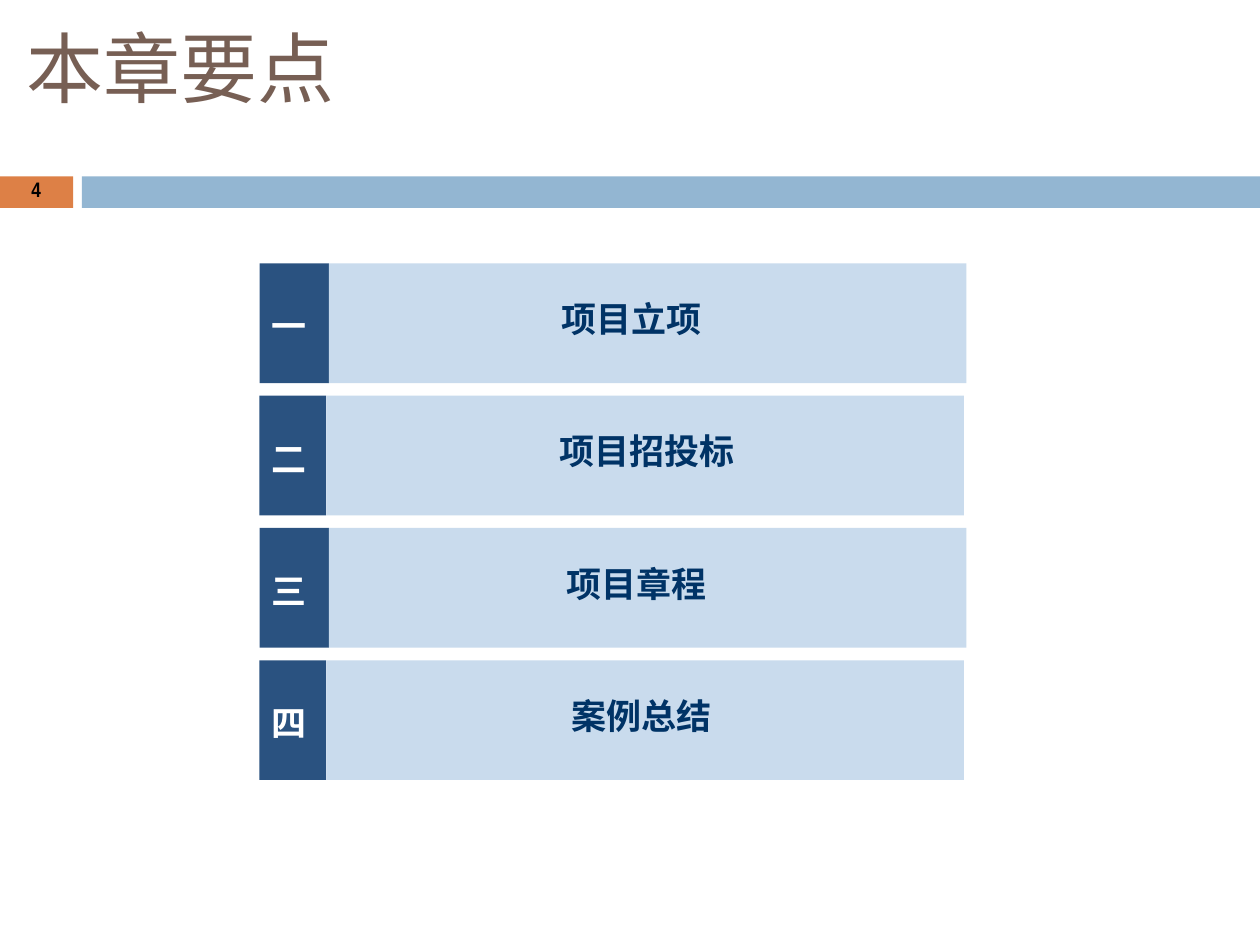
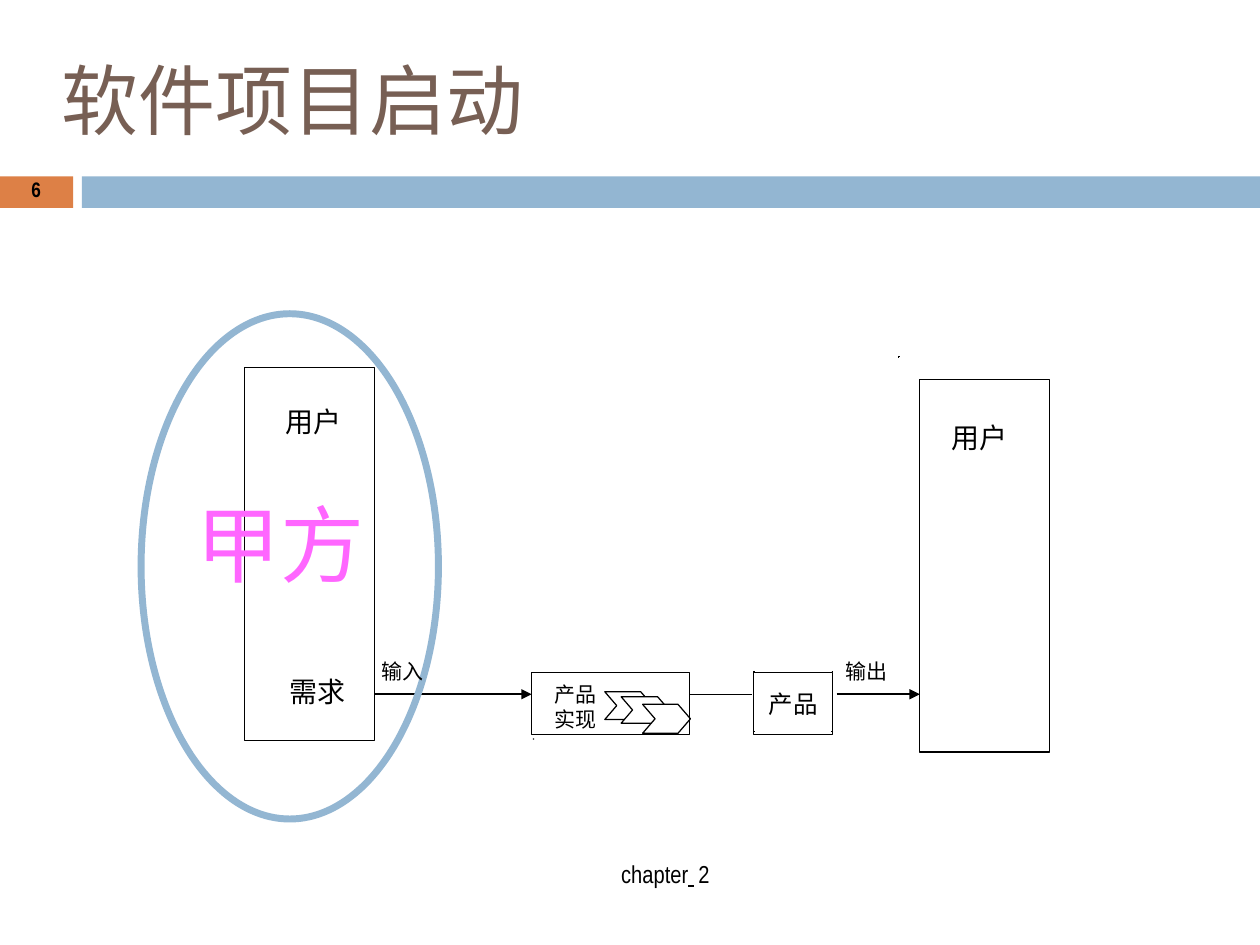
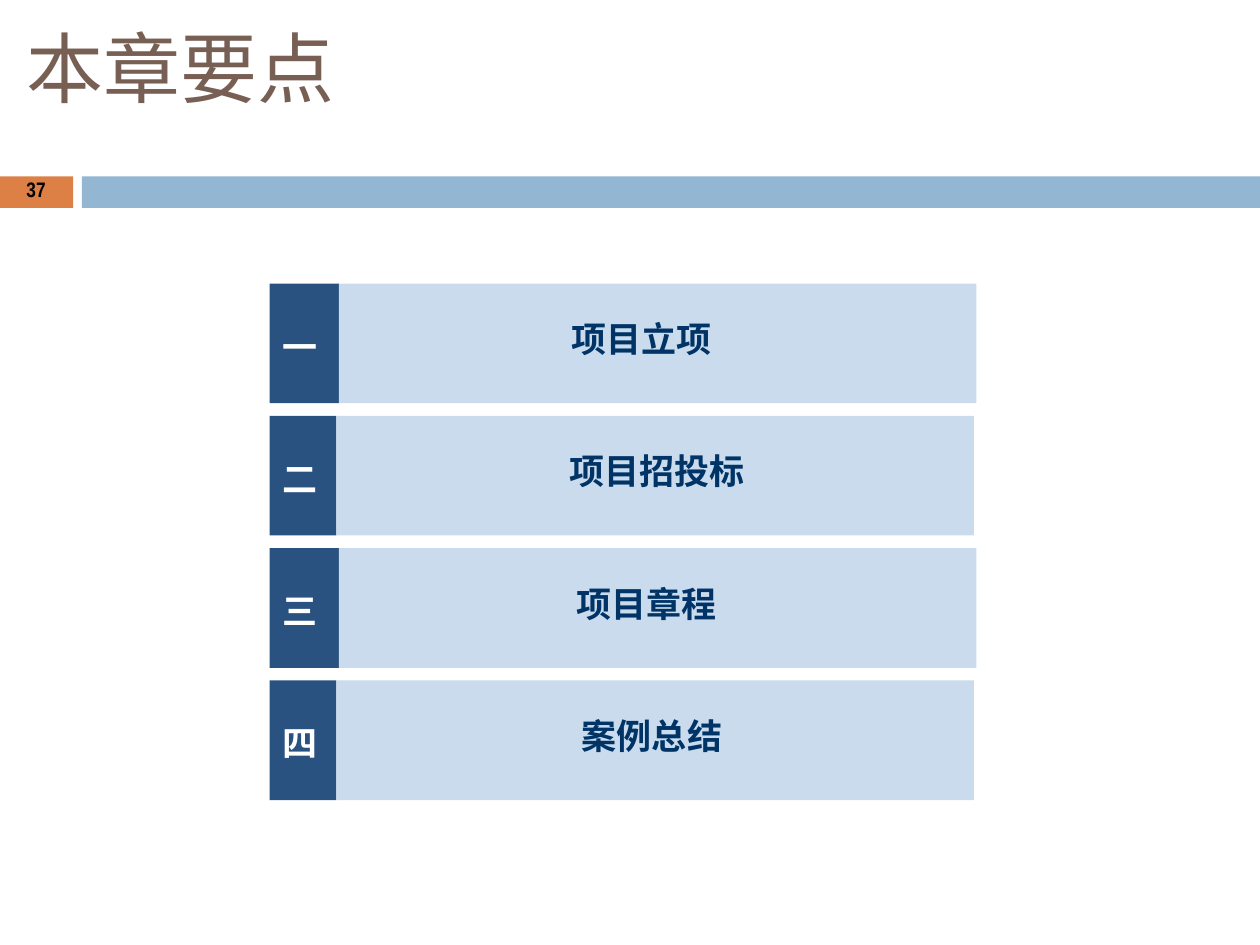
from pptx import Presentation
from pptx.dml.color import RGBColor
from pptx.enum.shapes import MSO_CONNECTOR, MSO_SHAPE
from pptx.enum.text import MSO_ANCHOR, MSO_AUTO_SIZE, PP_ALIGN
from pptx.oxml.ns import qn
from pptx.util import Inches, Pt
from lxml.etree import SubElement

BLACK = RGBColor(0x00, 0x00, 0x00)
WHITE = RGBColor(0xFF, 0xFF, 0xFF)
BROWN = RGBColor(0x77, 0x5F, 0x54)
ORANGE = RGBColor(0xDD, 0x80, 0x46)
SKY = RGBColor(0x93, 0xB6, 0xD2)
NAVY = RGBColor(0x2A, 0x52, 0x80)
PALE = RGBColor(0xC9, 0xDB, 0xED)
INK = RGBColor(0x00, 0x33, 0x66)
PINK = RGBColor(0xFF, 0x66, 0xFF)

HAN = "Noto Sans CJK SC"
LATIN = "Arial Narrow"
THIN = 0.72

# Numeral, number width, topic, left inset, right inset
CHAPTER_ROWS = [
    ("一", 0.55, "项目立项", 0, 0.25),
    ("二", 0.53, "项目招投标", 0.03, 0),
    ("三", 0.55, "项目章程", 0, 0.17),
    ("四", 0.53, "案例总结", 0, 0.05),
]
ROW_HEIGHT, ROW_PITCH, TOPIC_WIDTH = 0.95, 1.05, 5.06

# Text, place, size, colour
DIAGRAM_LABELS = [
    ("用户", (2.26, 3.2, 0.47, 0.29), 16, BLACK),
    ("需求", (2.29, 5.34, 0.47, 0.29), 16, BLACK),
    ("输入", (3.02, 5.22, 0.36, 0.23), 12, BLACK),
    ("输出", (6.7, 5.22, 0.36, 0.23), 12, BLACK),
    ("甲方", (1.55, 3.9, 1.36, 0.83), 48, PINK),
]
CHEVRONS = [(4.8, 5.49, 0.38, 0.22), (4.93, 5.53, 0.38, 0.21), (5.1, 5.59, 0.38, 0.23)]
FLOW_Y = 5.51
# Start x, end x, line width, arrowhead
FLOWS = [(2.97, 4.22, 1.25, True), (5.47, 5.97, THIN, False), (6.64, 7.3, 1.25, True)]
TICKS = [(7.13, 2.83)] + [(x, y) for x in (5.98, 6.6) for y in (5.33, 5.8)]
TICK_SIZE = 0.01
FOOTER = ["chapter", " ", "2"]


def set_text(shape, text, size, color, font=HAN, bold=False, align=PP_ALIGN.LEFT,
             left=0.01, top=0.01, right=0):
    """Fill a shape with one top-anchored paragraph and return that paragraph."""
    frame = shape.text_frame
    frame.auto_size = MSO_AUTO_SIZE.NONE
    frame.word_wrap = True
    frame.vertical_anchor = MSO_ANCHOR.TOP
    frame.margin_left, frame.margin_top = Inches(left), Inches(top)
    frame.margin_right, frame.margin_bottom = Inches(right), 0
    para = frame.paragraphs[0]
    for part in [text] if isinstance(text, str) else text:
        para.add_run().text = part
    para.alignment = align
    para.space_before = Pt(0)
    para.font.name = font
    para.font.size = Pt(size)
    para.font.bold = bold
    para.font.color.rgb = color
    properties = para.font._element
    SubElement(properties, qn("a:ea")).set("typeface", font)
    return para


def add_label(page, text, place, size, color, **style):
    box = page.shapes.add_textbox(*map(Inches, place))
    return set_text(box, text, size, color, **style)


def add_block(page, place, fill=None, line=None, width=THIN, kind=MSO_SHAPE.RECTANGLE):
    block = page.shapes.add_shape(kind, *map(Inches, place))
    block.shadow.inherit = False
    if fill is None:
        block.fill.background()
    else:
        block.fill.solid()
        block.fill.fore_color.rgb = fill
    if line is None:
        block.line.fill.background()
    else:
        block.line.color.rgb = line
        block.line.width = Pt(width)
    return block


def add_line(page, x1, y1, x2, y2, width, arrow=False):
    line = page.shapes.add_connector(MSO_CONNECTOR.STRAIGHT, *map(Inches, (x1, y1, x2, y2)))
    line.line.color.rgb = BLACK
    line.line.width = Pt(width)
    if arrow:
        SubElement(line.line._get_or_add_ln(), qn("a:tailEnd")).set("type", "triangle")
    SubElement(line._element.spPr, qn("a:effectLst"))


def add_page(deck, title, title_place, number, number_place):
    page = deck.slides.add_slide(deck.slide_layouts[5])
    heading = page.shapes.title
    heading.left, heading.top, heading.width, heading.height = map(Inches, title_place)
    set_text(heading, title, 44, BROWN)
    add_block(page, (0, 1.4, 0.58, 0.25), ORANGE)
    add_block(page, (0.65, 1.4, 9.35, 0.25), SKY)
    add_label(page, number, number_place, 12, BLACK, font=LATIN, bold=True)
    return page


def add_chapter_page(deck, number, number_place, left, top):
    page = add_page(deck, "本章要点", (0.2, 0.15, 2.48, 0.76), number, number_place)
    for row, (numeral, width, topic, inset_left, inset_right) in enumerate(CHAPTER_ROWS):
        y = top + row * ROW_PITCH
        block = add_block(page, (left, y, width, ROW_HEIGHT), NAVY)
        set_text(block, numeral, 20, WHITE, bold=True, left=0.1, top=0.33)
        block = add_block(page, (left + width, y, TOPIC_WIDTH, ROW_HEIGHT), PALE)
        set_text(block, topic, 20, INK, bold=True, align=PP_ALIGN.CENTER,
                 left=inset_left, top=0.27, right=inset_right)


def add_start_page(deck):
    page = add_page(deck, "软件项目启动", (0.48, 0.41, 3.7, 0.76),
                    "6", (0.24, 1.39, 0.1, 0.23))
    for x, y in TICKS:
        add_line(page, x, y, x + TICK_SIZE, y, 0.25)
        add_line(page, x, y, x, y + TICK_SIZE, 0.25)
    add_block(page, (4.23, 5.86, TICK_SIZE, TICK_SIZE), BLACK)

    receiver = add_block(page, (7.3, 3.01, 1.03, 2.96), line=BLACK)
    set_text(receiver, "用户", 16, BLACK, left=0.25, top=0.33)
    product = add_block(page, (5.98, 5.34, 0.63, 0.49), line=BLACK)
    set_text(product, "产品", 14, BLACK, left=0.12, top=0.13)

    for place in CHEVRONS:
        chevron = add_block(page, place, WHITE, BLACK, kind=MSO_SHAPE.CHEVRON)
        chevron.adjustments[0] = 0.43
    realisation = add_block(page, (4.22, 5.34, 1.25, 0.49), line=BLACK)
    para = set_text(realisation, "产品 实现", 12, BLACK, left=0.18, top=0.08, right=0.6)
    para.line_spacing = Pt(13.8)

    for start, end, width, arrow in FLOWS:
        add_line(page, start, FLOW_Y, end, FLOW_Y, width, arrow)
    add_block(page, (1.94, 2.92, 1.03, 2.96), line=BLACK)
    add_block(page, (1.12, 2.49, 2.36, 4.01), line=SKY, width=3.96, kind=MSO_SHAPE.OVAL)
    for label in DIAGRAM_LABELS:
        add_label(page, *label)

    footer = add_label(page, FOOTER, (4.92, 6.82, 0.82, 0.25), 14, BLACK, font=LATIN, top=0)
    gap = footer.runs[1]
    gap.font.underline = True
    gap.font._element.set("spc", "250")


def main():
    deck = Presentation()
    deck.slide_width, deck.slide_height = Inches(10), Inches(7.5)
    add_chapter_page(deck, "4", (0.24, 1.39, 0.1, 0.23), 2.06, 2.09)
    add_start_page(deck)
    add_chapter_page(deck, "37", (0.2, 1.39, 0.18, 0.23), 2.14, 2.25)
    deck.save("out.pptx")


if __name__ == "__main__":
    main()
